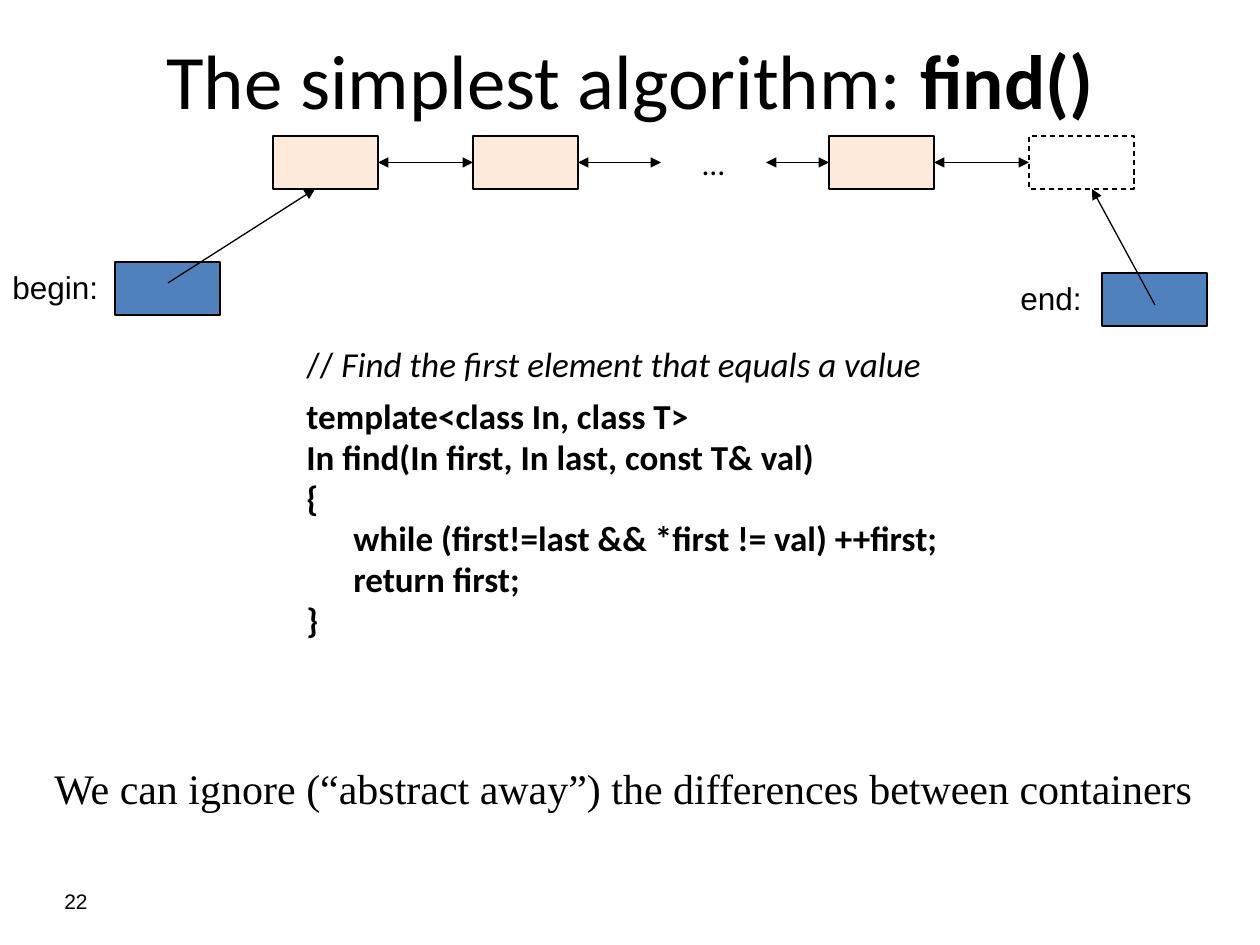
"""Builds the slide on find() with its linked sequence, code and remark."""
from itertools import pairwise

from lxml import etree
from pptx import Presentation
from pptx import util as u
from pptx.dml.color import RGBColor
from pptx.enum import dml, shapes, text
from pptx.oxml.ns import qn

THEME = {
    "ink": RGBColor(0, 0, 0),
    "element": RGBColor(0xFD, 0xEA, 0xDA),
    "iterator": RGBColor(0x4F, 0x81, 0xBD),
    "heading": ("Calibri", 44),
    "code": ("Calibri", 20),
    "dots": ("Calibri", 18),
    "label": ("Arial", 18),
    "remark": ("Times New Roman", 24),
    "number": ("Arial", 12),
    "line": 0.75,
}
TITLE = [("The simplest algorithm: ", ""), ("find()", "b")]
CODE = [
    (0, 4, [("// ", ""), ("Find the first element that equals a value", "i")]),
    (0, 11, [("template<class In, class T>", "b")]),
    (0, 4, [("In find(In first, In last, const T& val)", "b")]),
    (0, 4, [("{", "b")]),
    (47, 4, [("while (first!=last && *first != val) ++first;", "b")]),
    (47, 4, [("return first;", "b")]),
    (0, 4, [("}", "b")]),
]
SEQUENCE = [(273, "element"), (473, "element"), (661, "dots"), (829, "element"), (1029, "past end")]
SEQUENCE_TOP, NODE_W, NODE_H = 136, 105, 53
ITERATORS = [
    ("begin:", (0, 262), (115, 262), (168, 283), (315, 189)),
    ("end:", (1008, 273), (1102, 273), (1155, 305), (1092, 189)),
]
REMARK = "We can ignore (“abstract away”) the differences between containers"
NUMBER = "22"


def px(length):
    return u.Emu(round(length * 914400 / 126))


def write(paragraph, runs, style, align=text.PP_ALIGN.LEFT):
    paragraph.alignment = align
    for words, weight in runs:
        run = paragraph.add_run()
        run.text = words
        font = run.font
        font.name, size = THEME[style]
        font.size = u.Pt(size)
        font.bold, font.italic = weight == "b", weight == "i"
        font.color.rgb = THEME["ink"]


def add_frame(slide, *place, anchor=text.MSO_ANCHOR.TOP):
    frame = slide.shapes.add_textbox(*map(px, place)).text_frame
    frame.word_wrap = True
    frame.vertical_anchor = anchor
    return frame


def add_node(slide, left, top, fill=None):
    node = slide.shapes.add_shape(shapes.MSO_SHAPE.RECTANGLE, *map(px, (left, top, NODE_W, NODE_H)))
    node.shadow.inherit = False
    node.line.color.rgb = THEME["ink"]
    node.line.width = u.Pt(THEME["line"])
    if fill:
        node.fill.solid()
        node.fill.fore_color.rgb = THEME[fill]
    else:
        node.fill.background()
        node.line.dash_style = dml.MSO_LINE.DASH


def add_arrow(slide, start, end, *heads):
    arrow = slide.shapes.add_connector(shapes.MSO_CONNECTOR.STRAIGHT, *map(px, start + end))
    arrow.line.color.rgb = THEME["ink"]
    arrow.line.width = u.Pt(THEME["line"])
    outline = arrow.line._get_or_add_ln()
    for head in heads:
        etree.SubElement(outline, qn(f"a:{head}"), type="triangle")
    etree.SubElement(arrow._element.spPr, qn("a:effectLst"))


def add_sequence(slide):
    middle = SEQUENCE_TOP + NODE_H / 2
    for left, role in SEQUENCE:
        if role == "dots":
            dots = add_frame(slide, left, SEQUENCE_TOP, NODE_W, NODE_H, anchor=text.MSO_ANCHOR.MIDDLE)
            write(dots.paragraphs[0], [("…", "")], "dots", text.PP_ALIGN.CENTER)
        else:
            add_node(slide, left, SEQUENCE_TOP, "element" if role == "element" else None)
    for (left, _), (following, _) in pairwise(SEQUENCE):
        add_arrow(slide, (left + NODE_W, middle), (following, middle), "headEnd", "tailEnd")


def add_code(slide):
    frame = add_frame(slide, 294, 344, 913, 446)
    for index, (indent, before, runs) in enumerate(CODE):
        line = frame.add_paragraph() if index else frame.paragraphs[0]
        line.line_spacing = 0.8
        line.space_before = u.Pt(before)
        line._p.get_or_add_pPr().set("marL", str(px(indent)))
        write(line, runs, "code")


def main():
    deck = Presentation()
    deck.slide_width, deck.slide_height = px(1260), px(945)
    slide = deck.slides.add_slide(deck.slide_layouts[5])
    title = slide.shapes.title
    title.left, title.top, title.width, title.height = map(px, (63, 0, 1134, 158))
    title.text_frame.vertical_anchor = text.MSO_ANCHOR.MIDDLE
    write(title.text_frame.paragraphs[0], TITLE, "heading", text.PP_ALIGN.CENTER)
    add_code(slide)
    add_sequence(slide)
    for label, label_at, node_at, start, end in ITERATORS:
        add_node(slide, *node_at, "iterator")
        add_arrow(slide, start, end, "tailEnd")
        write(add_frame(slide, *label_at, 136, 50).paragraphs[0], [(label, "")], "label")
    write(add_frame(slide, 42, 756, 1176, 64).paragraphs[0], [(REMARK, "")], "remark")
    number = add_frame(slide, 30, 876, 70, 50, anchor=text.MSO_ANCHOR.MIDDLE)
    write(number.paragraphs[0], [(NUMBER, "")], "number", text.PP_ALIGN.RIGHT)
    deck.save("out.pptx")


if __name__ == "__main__":
    main()
